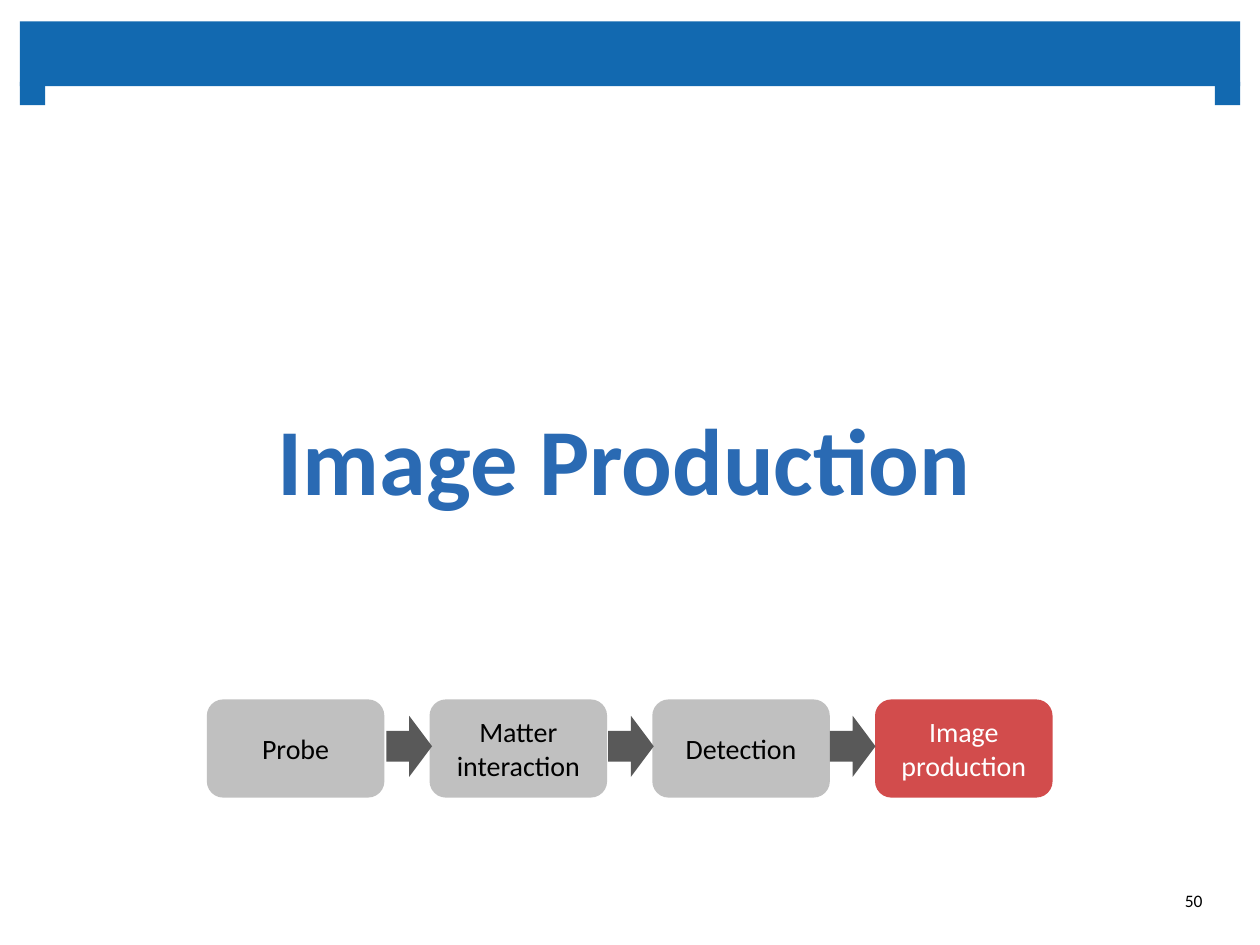
"""Build the section slide on image production with its process chain."""
import lxml.etree
import pptx
import pptx.dml.color
import pptx.enum.shapes
import pptx.enum.text
import pptx.oxml.ns
import pptx.util

Cm = pptx.util.Cm
RGB = pptx.dml.color.RGBColor
Shape = pptx.enum.shapes.MSO_SHAPE
Align = pptx.enum.text.PP_ALIGN
qn = pptx.oxml.ns.qn

BAR = RGB(0x12, 0x69, 0xB0)
TITLE = RGB(0x2A, 0x6A, 0xB3)
GREY = RGB(0xA6, 0xA6, 0xA6)
RED = RGB(0xC0, 0x00, 0x00)
DARK = RGB(0x59, 0x59, 0x59)
BLACK = RGB(0x00, 0x00, 0x00)
WHITE = RGB(0xFF, 0xFF, 0xFF)


def write(frame, text, size=16, color=BLACK, bold=False,
          align=Align.CENTER, side=0, edge=0, font="Calibri"):
    frame.word_wrap = True
    frame.vertical_anchor = pptx.enum.text.MSO_ANCHOR.MIDDLE
    frame.margin_left = frame.margin_right = Cm(side)
    frame.margin_top = frame.margin_bottom = Cm(edge)
    para = frame.paragraphs[0]
    para.text = text
    para.alignment = align
    for run in para.runs:
        run.font.name = font
        run.font.size = pptx.util.Pt(size)
        run.font.bold = bold
        run.font.color.rgb = color


class Deck:
    def __init__(self):
        self.show = pptx.Presentation()
        self.show.slide_width = Cm(25.4)
        self.show.slide_height = Cm(19.05)
        self.slide = self.show.slides.add_slide(self.show.slide_layouts[6])

    def shape(self, kind, box, fill, alpha=None):
        item = self.slide.shapes.add_shape(kind, *map(Cm, box))
        item.shadow.inherit = False
        item.fill.solid()
        item.fill.fore_color.rgb = fill
        item.line.fill.background()
        if alpha:
            tint = next(item.element.iter(qn("a:srgbClr")))
            lxml.etree.SubElement(tint, qn("a:alpha")).set("val", str(alpha * 1000))
        return item

    def bar(self, *box):
        self.shape(Shape.RECTANGLE, box, BAR)

    def step(self, left, text, fill, color):
        item = self.shape(Shape.ROUNDED_RECTANGLE, (left, 14.1, 3.58, 1.98), fill, 70)
        write(item.text_frame, text, color=color)

    def arrow(self, left):
        self.shape(Shape.RIGHT_ARROW, (left, 14.43, 0.92, 1.23), DARK)

    def text(self, box, text, **style):
        item = self.slide.shapes.add_textbox(*map(Cm, box))
        write(item.text_frame, text, **style)


def main():
    deck = Deck()
    deck.bar(0.4, 0.43, 24.6, 1.31)
    for left in (0.4, 24.49):
        deck.bar(left, 1.65, 0.51, 0.47)
    deck.text((0.89, 6.12, 23.39, 6.2), "Image Production",
              size=54, color=TITLE, bold=True, edge=0.2)
    steps = ["Probe", "Matter\ninteraction", "Detection", "Image\nproduction"]
    last = len(steps) - 1
    for i, name in enumerate(steps):
        fill, color = (RED, WHITE) if i == last else (GREY, BLACK)
        deck.step(4.17 + 4.49 * i, name, fill, color)
    for i in range(last):
        deck.arrow(7.79 + 4.47 * i)
    deck.text((18.77, 17.65, 5.72, 1.02), "50",
              size=10, align=Align.RIGHT, side=0.25, edge=0.13)
    deck.show.save("out.pptx")


if __name__ == "__main__":
    main()
